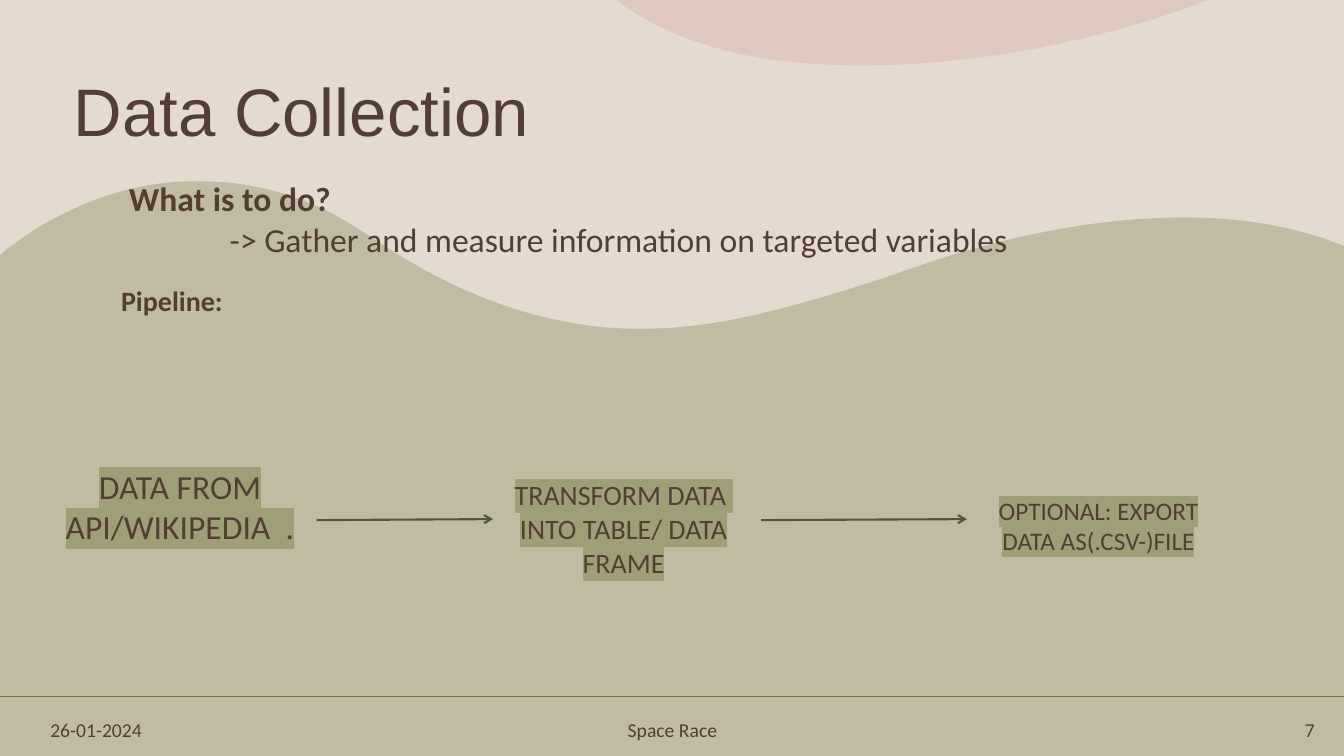
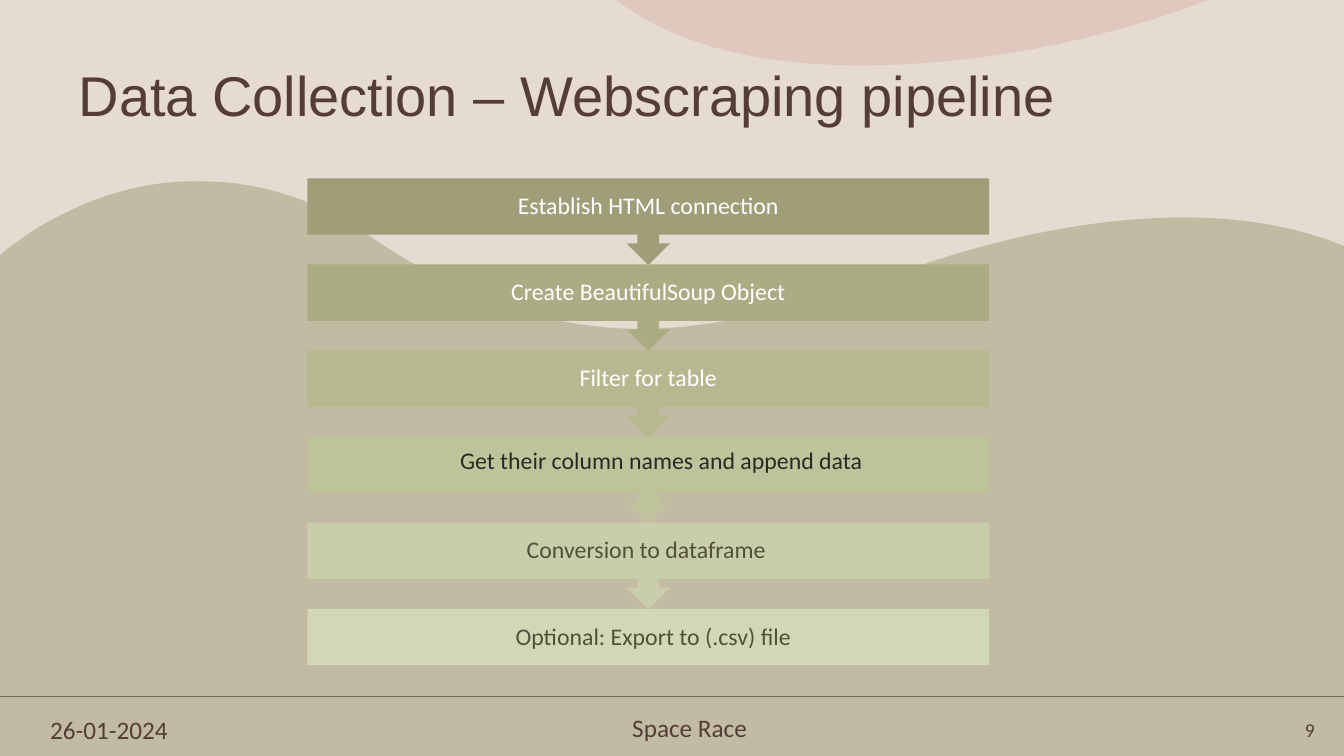
from lxml import etree
from pptx import Presentation
from pptx.dml.color import RGBColor
from pptx.enum.shapes import MSO_CONNECTOR, MSO_SHAPE
from pptx.enum.text import MSO_ANCHOR, MSO_AUTO_SIZE, PP_ALIGN
from pptx.oxml.ns import qn
from pptx.util import Inches, Pt

LEFT, CENTER, RIGHT = PP_ALIGN.LEFT, PP_ALIGN.CENTER, PP_ALIGN.RIGHT
TOP, MIDDLE, BOTTOM = MSO_ANCHOR.TOP, MSO_ANCHOR.MIDDLE, MSO_ANCHOR.BOTTOM
STRAIGHT = MSO_CONNECTOR.STRAIGHT
RECTANGLE, CALLOUT = MSO_SHAPE.RECTANGLE, MSO_SHAPE.DOWN_ARROW_CALLOUT

COLORS = {
    "sand": "E5DACF",
    "light sand": "E6DBD0",
    "brown": "543E34",
    "olive": "A09D79",
    "rose": "CF9B92",
    "arrow": "4E5745",
    "white": "FFFFFF",
    "dark": "272C23",
    "moss": "52503A",
    "step 2": "ACAC84",
    "step 3": "B6B890",
    "step 4": "BFC39C",
    "step 5": "C8CEA9",
    "step 6": "D0D8B6",
}
TITLE_FONT, BODY_FONT = "Arial", "Calibri"
PAGE_WIDTH, PAGE_HEIGHT = 13.33, 7.5

HILLS = [
    (2.02, 1.8),
    (2.36, 1.8, 2.7, 1.87, 3.04, 2),
    (3.34, 2.12, 3.6, 2.3, 3.86, 2.47),
    (4.43, 2.83, 5.05, 3.11, 5.77, 3.22),
    (6.37, 3.31, 6.98, 3.25, 7.59, 3.1),
    (8.27, 2.93, 8.67, 2.79, 9.08, 2.65),
    (9.48, 2.51, 11.61, 1.78, 13.25, 2.41),
    (PAGE_WIDTH, 2.44),
    (PAGE_WIDTH, PAGE_HEIGHT),
    (0, PAGE_HEIGHT),
    (0, 2.53),
    (0.07, 2.47),
    (0.16, 2.41, 0.25, 2.34, 0.34, 2.28),
    (0.9, 1.94, 1.46, 1.78, 2.02, 1.8),
]
CLOUD = [
    (6.11, 0),
    (11.98, 0),
    (11.77, 0.08),
    (10.56, 0.5, 9.61, 0.59, 9.24, 0.62),
    (7.56, 0.75, 6.71, 0.41, 6.21, 0.07),
]

STAGES = [
    ((0.23, 4.58, 3.11, 0.89), 24, ["DATA FROM API/WIKIPEDIA  ."]),
    ((4.68, 5.19, 3.01, 0.6), 20, ["TRANSFORM DATA ", "INTO TABLE/ DATA FRAME"]),
    ((9.6, 4.68, 2.59, 0.88), 18, ["OPTIONAL: EXPORT DATA AS(.CSV-)FILE"]),
]
STAGE_ARROWS = [(3.14, 4.89), (7.55, 9.59)]

STEPS = [
    ("Establish HTML connection", "olive", "white", (0, 0)),
    ("Create BeautifulSoup Object", "step 2", "white", (0, 0)),
    ("Filter for table", "step 3", "white", (0, 0)),
    ("Get their column names and append data", "step 4", "dark", (0.13, -0.03)),
    ("Conversion to dataframe", "step 5", "moss", (-0.02, 0)),
    ("Optional: Export to (.csv) file", "step 6", "moss", (0.05, 0.01)),
]


def rgb(name):
    return RGBColor.from_string(COLORS[name])


def style(para, size, color="brown", align=LEFT, bold=False, font=BODY_FONT):
    para.alignment = align
    para.font.name = font
    para.font.size = Pt(size)
    para.font.bold = bold
    para.font.color.rgb = rgb(color)


def add_text(page, box, lines, size, align=LEFT, anchor=TOP, bold=False):
    frame = page.shapes.add_textbox(*map(Inches, box)).text_frame
    frame.word_wrap = True
    frame.auto_size = MSO_AUTO_SIZE.NONE
    frame.vertical_anchor = anchor
    for index, line in enumerate(lines):
        para = frame.add_paragraph() if index else frame.paragraphs[0]
        para.add_run().text = line
        style(para, size, align=align, bold=bold)
    return frame


def highlight(frame, color):
    for para in frame.paragraphs:
        for span in para.runs:
            mark = etree.SubElement(span._r.get_or_add_rPr(), qn("a:highlight"))
            etree.SubElement(mark, qn("a:srgbClr"), val=COLORS[color])


def add_line(page, start, end, color, width, arrow=False):
    line = page.shapes.add_connector(STRAIGHT, *map(Inches, (*start, *end)))
    line.line.color.rgb = rgb(color)
    line.line.width = Pt(width)
    props = line._element.spPr
    if arrow:
        etree.SubElement(props.find(qn("a:ln")), qn("a:tailEnd"), type="arrow")
    etree.SubElement(props, qn("a:effectLst"))


def paint(shape, color):
    shape.shadow.inherit = False
    shape.fill.solid()
    shape.fill.fore_color.rgb = rgb(color)
    shape.line.fill.background()


def add_wave(page, outline, color, opacity):
    ends = [tuple(map(Inches, segment[-2:])) for segment in outline]
    builder = page.shapes.build_freeform(*ends[0], scale=1.0)
    builder.add_line_segments(ends[1:], close=True)
    wave = builder.convert_to_shape()
    paint(wave, color)
    props = wave._element.spPr
    for segment, straight in zip(outline[1:], list(props.iter(qn("a:lnTo")))):
        if len(segment) == 6:
            curve = etree.Element(qn("a:cubicBezTo"))
            for x, y in zip(segment[::2], segment[1::2]):
                etree.SubElement(curve, qn("a:pt"), x=str(Inches(x) - wave.left),
                                 y=str(Inches(y) - wave.top))
            straight.getparent().replace(straight, curve)
    tint = next(props.iter(qn("a:srgbClr")))
    etree.SubElement(tint, qn("a:alpha"), val=str(opacity * 1000))


def add_footer(page, number, size, date_width, label_box):
    add_text(page, (0.4, 7.07, date_width, 0.34), ["26-01-2024"], size, anchor=MIDDLE)
    add_text(page, label_box, ["Space Race"], size, CENTER, MIDDLE)
    add_text(page, (12.06, 7.07, 1.08, 0.34), [number], 14, RIGHT, MIDDLE)


def add_page(deck, background, title, title_box, title_size):
    page = deck.slides.add_slide(deck.slide_layouts[5])
    page.background.fill.solid()
    page.background.fill.fore_color.rgb = rgb(background)
    add_line(page, (0, 6.91), (PAGE_WIDTH, 6.91), "brown", 1.25)
    add_wave(page, HILLS, "olive", 50)
    add_wave(page, CLOUD, "rose", 27)

    heading = page.shapes.title
    heading.left, heading.top, heading.width, heading.height = map(Inches, title_box)
    frame = heading.text_frame
    frame.text = title
    frame.auto_size = MSO_AUTO_SIZE.NONE
    frame.vertical_anchor = MIDDLE
    frame.paragraphs[0].line_spacing = 0.9
    style(frame.paragraphs[0], title_size, font=TITLE_FONT)
    page.shapes._spTree.append(heading._element)
    return page


def add_stages(page):
    for box, size, lines in STAGES:
        highlight(add_text(page, box, lines, size, CENTER, BOTTOM), "olive")
    for start, end in STAGE_ARROWS:
        add_line(page, (start, 5.16), (end, 5.15), "arrow", 1.5, arrow=True)


def add_step_stack(page, left, top, width, height, bar_height):
    last = len(STEPS) - 1
    pitch = (height - bar_height) / last
    for index, (label, fill, color, (right, down)) in enumerate(STEPS):
        kind, step_height = (CALLOUT, 0.86) if index < last else (RECTANGLE, bar_height)
        box = (left, top + index * pitch, width, step_height)
        step = page.shapes.add_shape(kind, *map(Inches, box))
        paint(step, fill)
        frame = step.text_frame
        frame.word_wrap = True
        frame.vertical_anchor = MIDDLE
        frame.margin_left, frame.margin_right = Inches(0.13 + right), Inches(0.13 - right)
        frame.margin_top, frame.margin_bottom = Inches(0.1 + down), Inches(0.1 - down)
        para = frame.paragraphs[0]
        para.text = label
        para.line_spacing = 0.9
        style(para, 17, color, CENTER)


def build_collection(deck):
    page = add_page(deck, "sand", "Data Collection", (0.63, 0.77, 11.5, 0.74), 48)
    question = add_text(
        page,
        (1.18, 1.72, 11.09, 0.95),
        ["What is to do?", "-> Gather and measure information on targeted variables"],
        24,
        bold=True,
    )
    answer = question.paragraphs[1]
    answer.font.bold = False
    answer._p.get_or_add_pPr().set("marL", str(Inches(1)))
    add_text(page, (0.38, 2.76, 2.65, 0.45), ["Pipeline:"], 20, CENTER, bold=True)
    add_stages(page)
    add_footer(page, "7", 14, 1.19, (4.79, 7.07, 3.76, 0.34))


def build_webscraping(deck):
    title = "Data Collection – Webscraping pipeline"
    page = add_page(deck, "light sand", title, (0.68, 0.61, 11.5, 0.74), 40)
    add_step_stack(page, 3.05, 1.77, 6.76, 4.83, 0.56)
    add_footer(page, "9", 18, 1.53, (4.16, 7.05, 5.36, 0.34))


def main():
    deck = Presentation()
    deck.slide_width, deck.slide_height = Inches(PAGE_WIDTH), Inches(PAGE_HEIGHT)
    build_collection(deck)
    build_webscraping(deck)
    deck.save("out.pptx")


if __name__ == "__main__":
    main()
